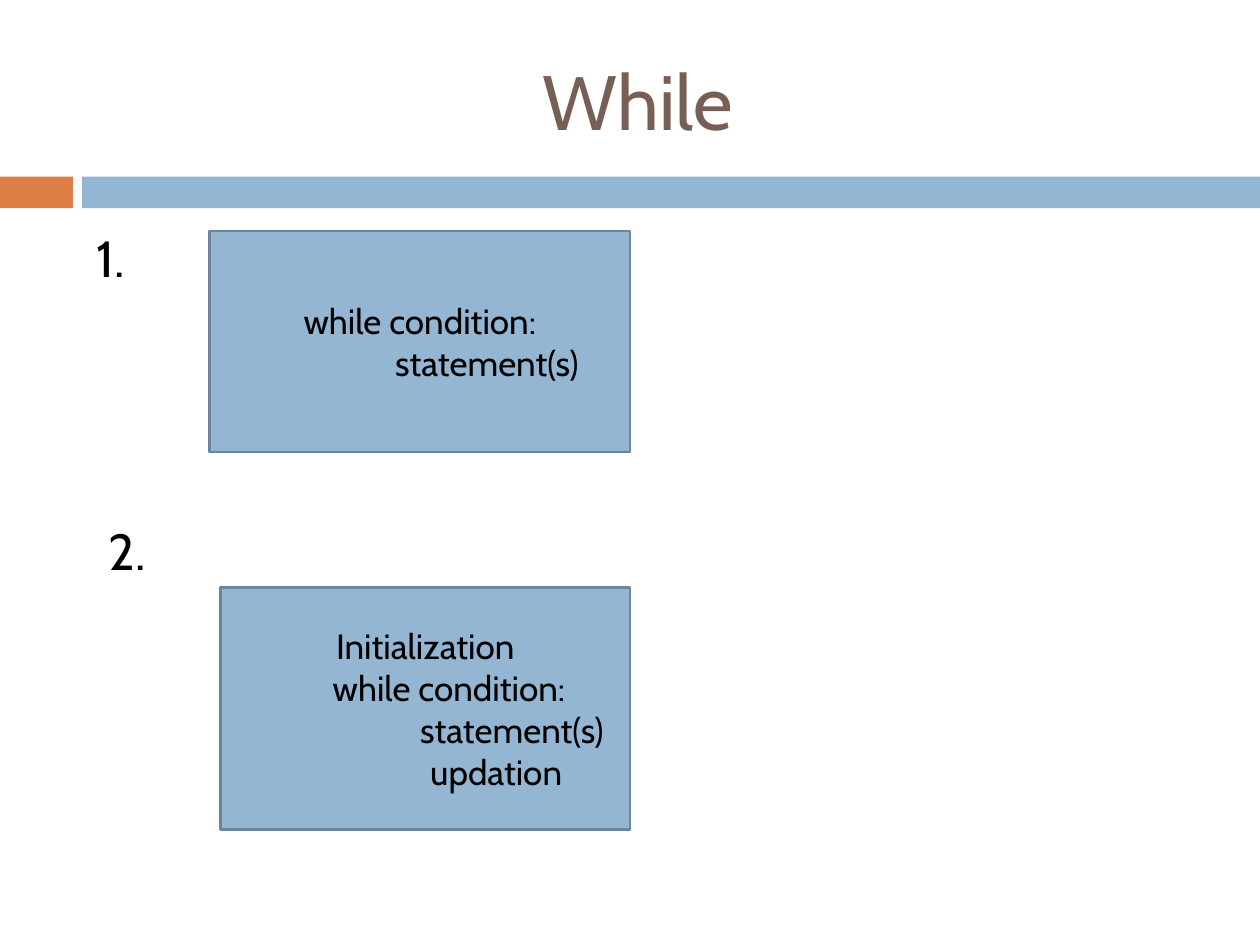
from dataclasses import dataclass

from pptx import Presentation
from pptx import util as u
from pptx.dml.color import RGBColor
from pptx.enum import shapes, text


@dataclass(frozen=True)
class Theme:
    font: str = "Cabin"
    accent: str = "DD8047"
    blue: str = "94B6D2"
    outline: str = "6B859A"
    heading: str = "775F55"
    ink: str = "000000"
    title_size: int = 44
    number_size: int = 29
    code_size: int = 20


@dataclass(frozen=True)
class Area:
    """A rectangle in centimetres."""
    left: float
    top: float
    width: float
    height: float

    def lengths(self) -> list[u.Length]:
        return [u.Cm(v) for v in (self.left, self.top, self.width, self.height)]


@dataclass(frozen=True)
class CodeBox:
    area: Area
    lines: tuple[str, ...]


THEME = Theme()
CENTER = text.PP_ALIGN.CENTER
LEFT = text.PP_ALIGN.LEFT
MIDDLE = text.MSO_ANCHOR.MIDDLE

BARS = (
    (Area(0, 3.56, 1.47, 0.64), THEME.accent),
    (Area(1.65, 3.56, 23.75, 0.64), THEME.blue),
)
CODE_BOXES = (
    CodeBox(Area(4.23, 4.66, 8.47, 4.45), (
        "while condition:",
        "                 statement(s)",
    )),
    CodeBox(Area(4.45, 11.85, 8.25, 4.87), (
        "Initialization",
        "      while condition:",
        "                      statement(s)",
        "                  updation",
    )),
)


def write(frame, lines: tuple[str, ...], size: int, color: str,
          align=CENTER, anchor=MIDDLE) -> None:
    """Fill a text frame with one paragraph per line."""
    settings = {
        "word_wrap": True, "vertical_anchor": anchor,
        "margin_left": u.Cm(0.25), "margin_right": u.Cm(0.25),
        "margin_top": u.Cm(0.13), "margin_bottom": u.Cm(0.13),
    }
    for name, value in settings.items():
        setattr(frame, name, value)
    for index, line in enumerate(lines):
        paragraph = frame.paragraphs[0] if index == 0 else frame.add_paragraph()
        paragraph.alignment = align
        run = paragraph.add_run()
        run.text = line
        for name, value in {"name": THEME.font, "size": u.Pt(size)}.items():
            setattr(run.font, name, value)
        run.font.color.rgb = RGBColor.from_string(color)


def draw_rectangle(slide, area: Area, fill: str, outline: str | None = None):
    rectangle = slide.shapes.add_shape(
        shapes.MSO_SHAPE.RECTANGLE, *area.lengths())
    rectangle.shadow.inherit = False
    rectangle.fill.solid()
    rectangle.fill.fore_color.rgb = RGBColor.from_string(fill)
    if outline:
        rectangle.line.color.rgb = RGBColor.from_string(outline)
        rectangle.line.width = u.Pt(1.5)
    else:
        rectangle.line.fill.background()
    return rectangle


def draw_code(slide, box: CodeBox) -> None:
    panel = draw_rectangle(slide, box.area, THEME.blue, THEME.outline)
    write(panel.text_frame, box.lines, THEME.code_size, THEME.ink)


def main() -> None:
    deck = Presentation()
    deck.slide_width, deck.slide_height = u.Cm(25.4), u.Cm(19.05)
    slide = deck.slides.add_slide(deck.slide_layouts[6])

    # Divider under the title
    for area, fill in BARS:
        draw_rectangle(slide, area, fill)

    # Title, set slightly left of the middle
    title = slide.shapes.add_textbox(*Area(1.7, 0.64, 22.66, 2.74).lengths())
    write(title.text_frame, ("While",), THEME.title_size, THEME.heading)
    title.text_frame.margin_right = u.Cm(0.6)

    # Numbers beside the code boxes
    numbers = slide.shapes.add_textbox(*Area(1.7, 4.45, 22.66, 12.5).lengths())
    write(numbers.text_frame, ("1.", "2."), THEME.number_size, THEME.ink,
          LEFT, text.MSO_ANCHOR.TOP)
    second = numbers.text_frame.paragraphs[1]
    second.space_before = u.Pt(132.6)
    second._p.get_or_add_pPr().set("marL", str(u.Cm(0.24)))

    # Code boxes
    for box in CODE_BOXES:
        draw_code(slide, box)

    deck.save("out.pptx")


if __name__ == "__main__":
    main()
